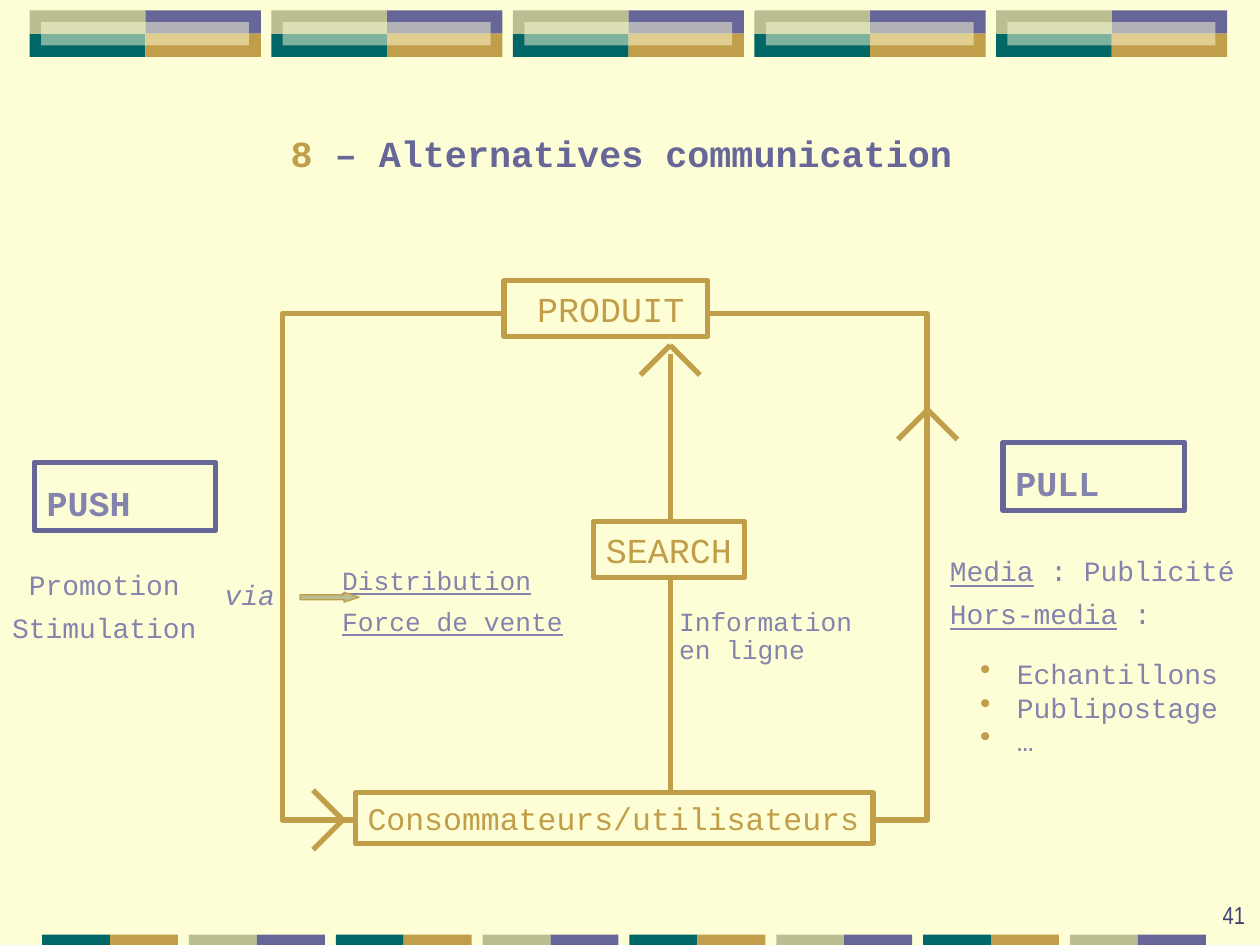
from dataclasses import dataclass, field

from lxml.etree import SubElement
from pptx import Presentation
from pptx.dml.color import RGBColor
from pptx.enum.shapes import MSO_CONNECTOR, MSO_SHAPE
from pptx.enum.text import MSO_ANCHOR, MSO_AUTO_SIZE, PP_ALIGN
from pptx.oxml.ns import qn
from pptx.util import Cm, Pt

CREAM = RGBColor(0xFE, 0xFE, 0xD6)
GOLD = RGBColor(0xC0, 0x9E, 0x4A)
PURPLE = RGBColor(0x66, 0x66, 0x99)
LILAC = RGBColor(0x83, 0x83, 0xAD)
TEAL = RGBColor(0x00, 0x66, 0x66)
KHAKI = RGBColor(0xBA, 0xBE, 0x90)
NAVY = RGBColor(0x40, 0x41, 0x76)

MONO = "Courier New"
HEAVY = 3


@dataclass
class Label:
    """Text block in cm; each paragraph is a list of (text, font overrides)."""
    box: tuple
    paragraphs: list
    font: dict
    color: RGBColor = LILAC
    align: PP_ALIGN = PP_ALIGN.LEFT
    anchor: MSO_ANCHOR = MSO_ANCHOR.TOP
    spacing: float = 1.0
    left_inset: float = 0.25
    right_inset: float = 0.0
    bulleted: bool = False
    border: RGBColor | None = None
    fill: RGBColor | None = None


@dataclass
class Chevron:
    """Open arrowhead: its tip and the two tail ends relative to the tip."""
    tip: tuple
    tails: tuple = field(default=((-0.6, 0.6), (0.6, 0.6)))


def mono(size: float, **extra) -> dict:
    return {"name": MONO, "size": Pt(size), **extra}


def plain(*lines: str) -> list:
    return [[(line, {})] for line in lines]


UNDERLINED = {"underline": True}
CENTER = {"align": PP_ALIGN.CENTER, "left_inset": 0}
GOLD_BOX = {"color": GOLD, "border": GOLD, "fill": CREAM}

BOXES = [
    Label((10.16, 5.66, 4.11, 1.12), plain("PRODUIT"), mono(20), left_inset=0.67, **GOLD_BOX),
    Label((7.16, 15.98, 10.44, 1.02), plain("Consommateurs/utilisateurs"), mono(18), **GOLD_BOX),
    Label((11.96, 10.52, 3.05, 1.12), plain("SEARCH"), mono(20), **CENTER, **GOLD_BOX),
    Label((20.22, 8.92, 3.66, 1.37), plain("PULL"), mono(20, bold=True),
          spacing=1.3, border=PURPLE),
    Label((0.69, 9.32, 3.66, 1.37), plain("PUSH"), mono(20, bold=True),
          spacing=1.3, border=PURPLE),
]
NOTES = [
    Label((18.9, 10.82, 6.27, 2.03),
          [[("Media", UNDERLINED), (" : Publicité", {})],
           [("Hors-media", UNDERLINED), (" :", {})]], mono(16), spacing=1.3),
    Label((19.51, 13.11, 5.31, 2.29), plain("Echantillons", "Publipostage", "…"),
          mono(16), bulleted=True),
    Label((-0.74, 11.1, 5.69, 2.03), plain("Promotion", "Stimulation"),
          mono(16), spacing=1.3, **CENTER),
    Label((6.65, 11.05, 6.43, 1.9), plain("Distribution", "Force de vente"),
          mono(15, underline=True), spacing=1.3),
    Label((13.44, 12.14, 5.46, 1.4), plain("Information", "en ligne"), mono(15), spacing=0.9),
    Label((4.17, 11.2, 1.73, 1.35), plain("via"), mono(16, italic=True),
          anchor=MSO_ANCHOR.MIDDLE, spacing=1.3, **CENTER),
    Label((20.07, 17.6, 5.28, 1.27), plain("41"), {"name": "Arial Narrow", "size": Pt(14)},
          color=NAVY, align=PP_ALIGN.RIGHT, anchor=MSO_ANCHOR.BOTTOM, right_inset=0.25),
]
CHEVRONS = [
    Chevron((18.7, 8.26)),
    Chevron((13.51, 6.96)),
    Chevron((6.91, 16.53), ((-0.6, -0.6), (-0.6, 0.6))),
]


def add_block(s, box: tuple, fill=None, border=None, width=HEAVY, kind=MSO_SHAPE.RECTANGLE):
    sp = s.shapes.add_shape(kind, *map(Cm, box))
    sp.shadow.inherit = False
    if fill is None:
        sp.fill.background()
    else:
        sp.fill.solid()
        sp.fill.fore_color.rgb = fill
    if border is None:
        sp.line.fill.background()
    else:
        sp.line.color.rgb = border
        sp.line.width = Pt(width)
    return sp


def add_line(s, start: tuple, end: tuple) -> None:
    c = s.shapes.add_connector(MSO_CONNECTOR.STRAIGHT, *map(Cm, start + end))
    c.line.color.rgb = GOLD
    c.line.width = Pt(HEAVY)
    SubElement(c._element.spPr, qn("a:effectLst"))


def add_chevron(s, chevron: Chevron) -> None:
    x, y = chevron.tip
    for dx, dy in chevron.tails:
        add_line(s, (x + dx, y + dy), chevron.tip)


def add_bullet(p) -> None:
    pPr = p._p.get_or_add_pPr()
    pPr.set("marL", str(Cm(0.74)))
    pPr.set("indent", str(-Cm(0.74)))
    SubElement(SubElement(pPr, qn("a:buClr")), qn("a:srgbClr"), val=str(GOLD))
    SubElement(pPr, qn("a:buSzPct"), val="110000")
    SubElement(pPr, qn("a:buChar"), char="•")


def write(tf, label: Label) -> None:
    settings = {
        "word_wrap": True, "auto_size": MSO_AUTO_SIZE.NONE, "vertical_anchor": label.anchor,
        "margin_left": Cm(label.left_inset), "margin_right": Cm(label.right_inset),
        "margin_top": Cm(0.13), "margin_bottom": Cm(0.13),
    }
    for name, value in settings.items():
        setattr(tf, name, value)
    for i, runs in enumerate(label.paragraphs):
        p = tf.add_paragraph() if i else tf.paragraphs[0]
        p.alignment = label.align
        p.line_spacing = label.spacing
        if label.bulleted:
            add_bullet(p)
        for text, overrides in runs:
            r = p.add_run()
            r.text = text
            font = {**label.font, **overrides}
            r.font.color.rgb = font.pop("color", label.color)
            for name, value in font.items():
                setattr(r.font, name, value)


def add_label(s, label: Label) -> None:
    if label.border is None:
        sp = s.shapes.add_textbox(*map(Cm, label.box))
    else:
        sp = add_block(s, label.box, label.fill, label.border)
    write(sp.text_frame, label)


def add_bands(s) -> None:
    """Colour blocks along the top and bottom edges."""
    w, h = 2.33, 0.47
    for i in range(5):
        x, y = 0.6 + 4.87 * i, 0.21
        for col, row, color in ((1, 0, PURPLE), (1, 1, GOLD), (0, 1, TEAL), (0, 0, KHAKI)):
            add_block(s, (x + col * w, y + row * h, w, h), color)
        veil = add_block(s, (x + 0.23, y + h / 2, 4.19, h), CREAM)
        color = veil._element.spPr.find(".//" + qn("a:srgbClr"))
        SubElement(color, qn("a:alpha"), val="50000")
    for i in range(8):
        for j, color in enumerate((KHAKI, PURPLE) if i % 2 else (TEAL, GOLD)):
            add_block(s, (0.85 + 2.96 * i + 1.37 * j, 18.84, 1.37, 0.21), color)


def add_title(s) -> None:
    label = Label((5.61, 2.51, 13.89, 1.14),
                  [[("8", {"color": GOLD}), (" – Alternatives communication", {})]],
                  mono(21, bold=True), color=PURPLE)
    title = s.shapes.title
    title.left, title.top, title.width, title.height = map(Cm, label.box)
    write(title.text_frame, label)


def main() -> None:
    prs = Presentation()
    prs.slide_width, prs.slide_height = Cm(25.4), Cm(19.05)
    s = prs.slides.add_slide(prs.slide_layouts[5])
    s.background.fill.solid()
    s.background.fill.fore_color.rgb = CREAM
    add_bands(s)
    add_title(s)
    add_block(s, (5.69, 6.32, 13, 10.21), CREAM, GOLD)
    for chevron in CHEVRONS:
        add_chevron(s, chevron)
    add_line(s, (13.51, 7.14), (13.51, 15.93))
    for label in BOXES + NOTES:
        add_label(s, label)
    arrow = add_block(s, (6.05, 11.94, 1.19, 0.2), KHAKI, GOLD, 0.75, MSO_SHAPE.RIGHT_ARROW)
    arrow.adjustments[1] = 1.51
    prs.save("out.pptx")


if __name__ == "__main__":
    main()
